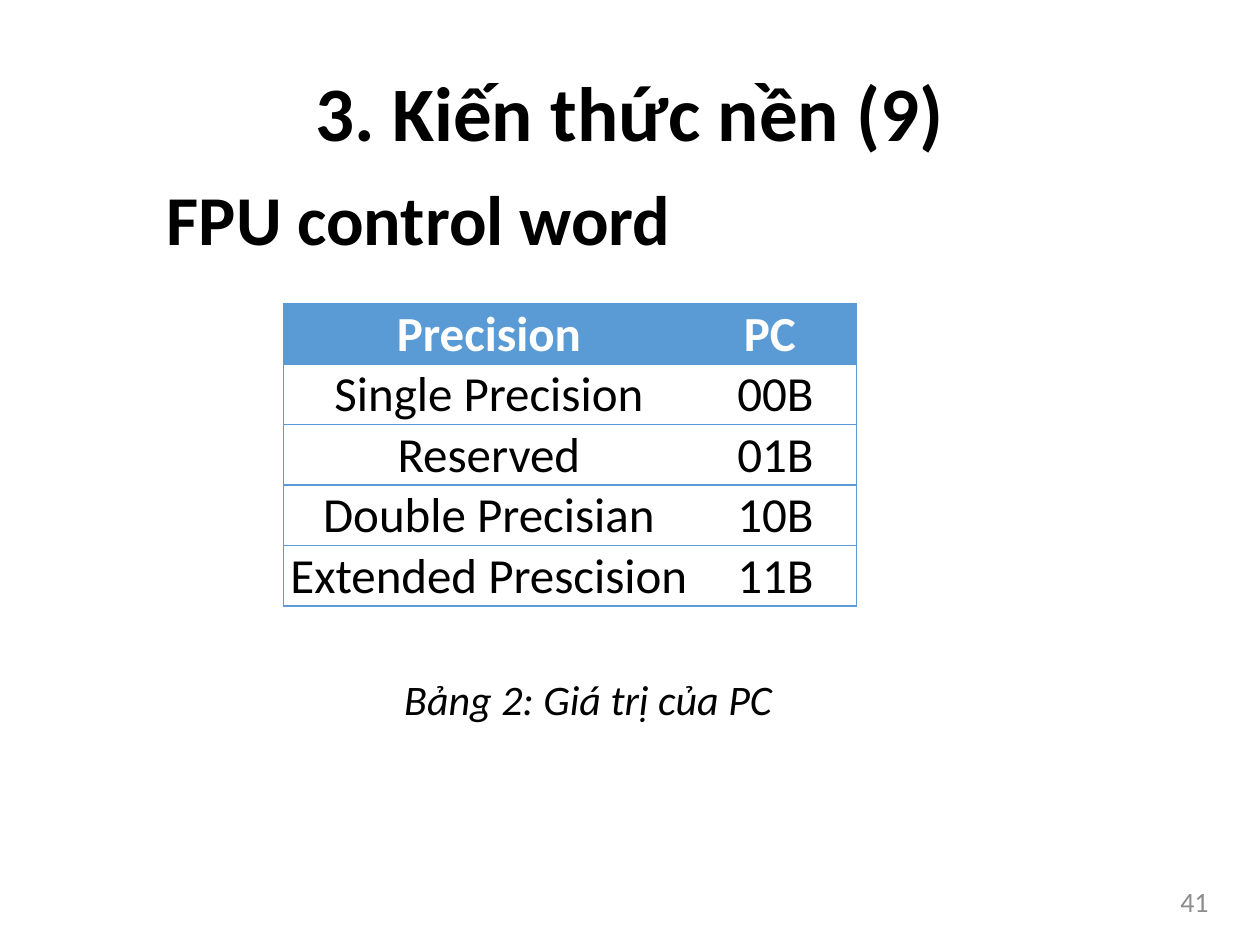
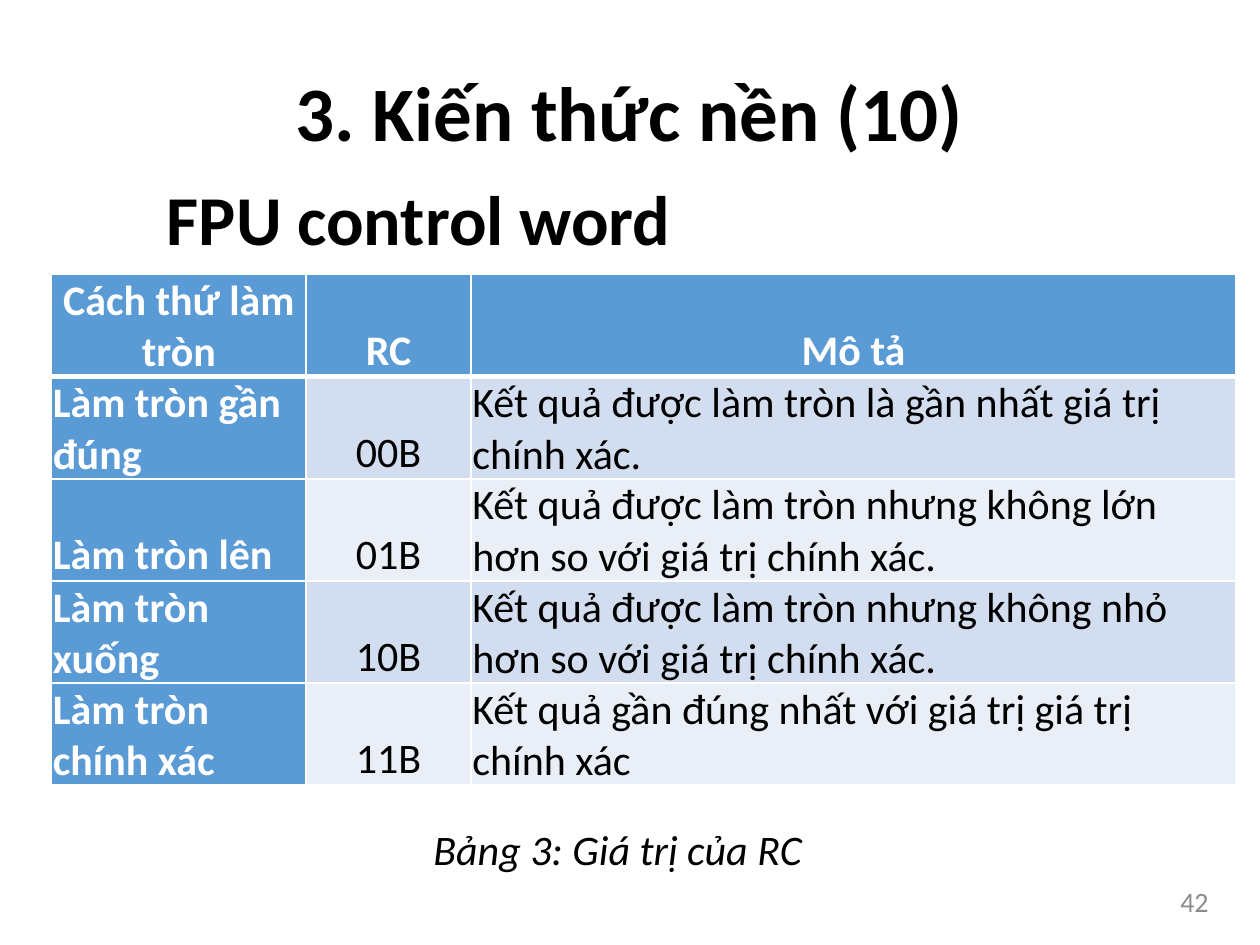
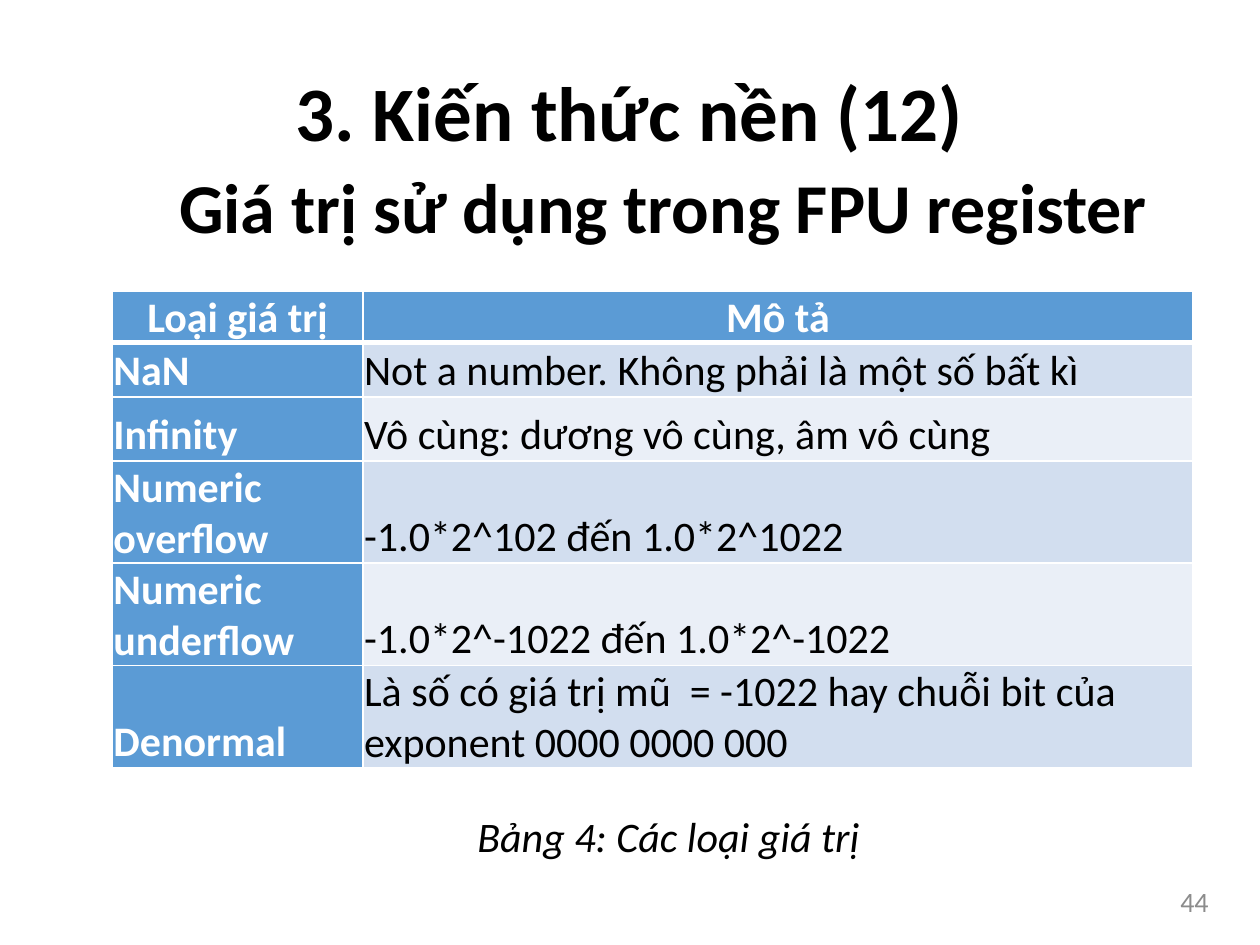
import lxml.etree
import pptx
import pptx.dml.color
import pptx.enum.text
import pptx.oxml.ns
import pptx.util

EMU_PER_PX = 9144
FONT = "Calibri"
BLACK, WHITE, GRAY = "000000", "FFFFFF", "8C8C8C"
BLUE, BAND_DARK, BAND_LIGHT = "5B9BD5", "D2DEEF", "EAEFF7"
ALIGN = pptx.enum.text.PP_ALIGN
ANCHOR = pptx.enum.text.MSO_ANCHOR

TITLE_STYLE = {"size": 44, "bold": True, "align": ALIGN.CENTER}
HEADING_STYLE = {"size": 40, "bold": True, "align": ALIGN.LEFT}
CAPTION_STYLE = {"size": 24, "italic": True, "align": ALIGN.LEFT}
NUMBER_STYLE = {"size": 16, "color": GRAY, "align": ALIGN.RIGHT}
CELL_MARGINS = {"margin_left": 1, "margin_top": 1, "margin_right": 1, "margin_bottom": 0}

SLIDES = [
    {
        "title": "3. Kiến thức nền (9)",
        "heading": " FPU control word",
        "heading_box": (110, 134, 555, 77),
        "caption": "Bảng 2: Giá trị của PC",
        "caption_box": (311, 530, 312, 50),
        "number": "41",
        "table_corner": (225, 241),
        "columns": [326, 129],
        "row_heights": [48] * 5,
        "outlined": True,
        "centered_columns": [0, 1],
        "cells": [
            ["Precision", "PC "],
            ["Single Precision", "00B"],
            ["Reserved", "01B"],
            ["Double Precisian", "10B"],
            ["Extended Prescision", "11B"],
        ],
    },
    {
        "title": "3. Kiến thức nền (10)",
        "heading": " FPU control word",
        "heading_box": (110, 134, 555, 77),
        "caption": "Bảng 3: Giá trị của RC",
        "caption_box": (334, 649, 321, 50),
        "number": "42",
        "table_corner": (41, 218),
        "columns": [202, 131, 607],
        "row_heights": [81] * 5,
        "outlined": False,
        "centered_columns": [1],
        "cells": [
            ["Cách thứ làm tròn", "RC", "Mô tả"],
            ["Làm tròn gần đúng", "00B", "Kết quả được làm tròn là gần nhất giá trị chính xác."],
            ["Làm tròn lên", "01B",
             "Kết quả được làm tròn nhưng không lớn hơn so với giá trị chính xác."],
            ["Làm tròn xuống", "10B",
             "Kết quả được làm tròn nhưng không nhỏ hơn so với giá trị chính xác."],
            ["Làm tròn chính xác", "11B", "Kết quả gần đúng nhất với giá trị giá trị chính xác"],
        ],
    },
    {
        "title": "3. Kiến thức nền (12)",
        "heading": " Giá trị sử dụng trong FPU register",
        "heading_box": (120, 125, 827, 77),
        "caption": "Bảng 4: Các loại giá trị",
        "caption_box": (369, 638, 330, 50),
        "number": "44",
        "table_corner": (89, 231),
        "columns": [199, 659],
        "row_heights": [41, 43, 51, 81, 81, 81],
        "outlined": False,
        "centered_columns": [],
        "cells": [
            ["Loại giá trị", "Mô tả"],
            ["NaN", "Not a number. Không phải là một số bất kì"],
            ["Infinity", "Vô cùng: dương vô cùng, âm vô cùng"],
            ["Numeric overflow", "-1.0*2^102 đến 1.0*2^1022"],
            ["Numeric underflow", "-1.0*2^-1022 đến 1.0*2^-1022"],
            ["Denormal", "Là số có giá trị mũ  = -1022 hay chuỗi bit của exponent 0000 0000 000"],
        ],
    },
]


def rgb(value):
    return pptx.dml.color.RGBColor.from_string(value)


def write_text(text_frame, text, style):
    paragraph = text_frame.paragraphs[0]
    paragraph.alignment = style["align"]
    run = paragraph.add_run()
    run.text = text
    font_values = {
        "name": FONT,
        "size": pptx.util.Pt(style["size"]),
        "bold": style.get("bold", False),
        "italic": style.get("italic", False),
    }
    for name, value in font_values.items():
        setattr(run.font, name, value)
    run.font.color.rgb = rgb(style.get("color", BLACK))


presentation = pptx.Presentation()
presentation.slide_width = 1000 * EMU_PER_PX
presentation.slide_height = 750 * EMU_PER_PX

for content in SLIDES:
    slide = presentation.slides.add_slide(presentation.slide_layouts[5])

    title = slide.shapes.title
    for name, px in {"left": 50, "top": 30, "width": 900, "height": 125}.items():
        setattr(title, name, px * EMU_PER_PX)
    title.text_frame.vertical_anchor = ANCHOR.MIDDLE
    write_text(title.text_frame, content["title"], TITLE_STYLE)
    title.text_frame.paragraphs[0].line_spacing = 0.9

    for text, box, style, anchor in [
        (content["heading"], content["heading_box"], HEADING_STYLE, ANCHOR.TOP),
        (content["caption"], content["caption_box"], CAPTION_STYLE, ANCHOR.TOP),
        (content["number"], (744, 695, 225, 40), NUMBER_STYLE, ANCHOR.MIDDLE),
    ]:
        shape = slide.shapes.add_textbox(*[px * EMU_PER_PX for px in box])
        shape.text_frame.word_wrap = style is NUMBER_STYLE
        shape.text_frame.vertical_anchor = anchor
        write_text(shape.text_frame, text, style)

    columns, row_heights = content["columns"], content["row_heights"]
    table_box = (*content["table_corner"], sum(columns), sum(row_heights))
    table = slide.shapes.add_table(
        len(row_heights), len(columns), *[px * EMU_PER_PX for px in table_box]
    ).table
    table.first_row = table.horz_banding = False
    for column, width in zip(table.columns, columns):
        column.width = width * EMU_PER_PX
    for row, height in zip(table.rows, row_heights):
        row.height = height * EMU_PER_PX

    outlined = content["outlined"]
    for row_index, row_texts in enumerate(content["cells"]):
        for column_index, text in enumerate(row_texts):
            cell = table.cell(row_index, column_index)
            is_header = row_index == 0
            is_strong = is_header or (column_index == 0 and not outlined)
            is_centered = is_header or column_index in content["centered_columns"]

            for name, px in CELL_MARGINS.items():
                setattr(cell, name, px * EMU_PER_PX)
            cell.vertical_anchor = ANCHOR.MIDDLE if outlined else ANCHOR.BOTTOM
            write_text(cell.text_frame, text, {
                "size": 28 if outlined else 24,
                "bold": is_strong,
                "color": WHITE if is_strong else BLACK,
                "align": ALIGN.CENTER if is_centered else ALIGN.LEFT,
            })

            hidden_side = ("R" if column_index == 0 else "L") if outlined else None
            properties = cell._tc.get_or_add_tcPr()
            for side in "LRTB":
                is_thick = not outlined and (
                    (is_header and side == "B") or (row_index == 1 and side == "T")
                )
                line = lxml.etree.SubElement(properties, pptx.oxml.ns.qn("a:ln" + side))
                line.set("w", str(pptx.util.Pt(3 if is_thick else 1)))
                if side == hidden_side:
                    lxml.etree.SubElement(line, pptx.oxml.ns.qn("a:noFill"))
                else:
                    fill = lxml.etree.SubElement(line, pptx.oxml.ns.qn("a:solidFill"))
                    color = lxml.etree.SubElement(fill, pptx.oxml.ns.qn("a:srgbClr"))
                    color.set("val", BLUE if outlined else WHITE)

            band = WHITE if outlined else (BAND_DARK if row_index % 2 else BAND_LIGHT)
            cell.fill.solid()
            cell.fill.fore_color.rgb = rgb(BLUE if is_strong else band)

presentation.save("out.pptx")
